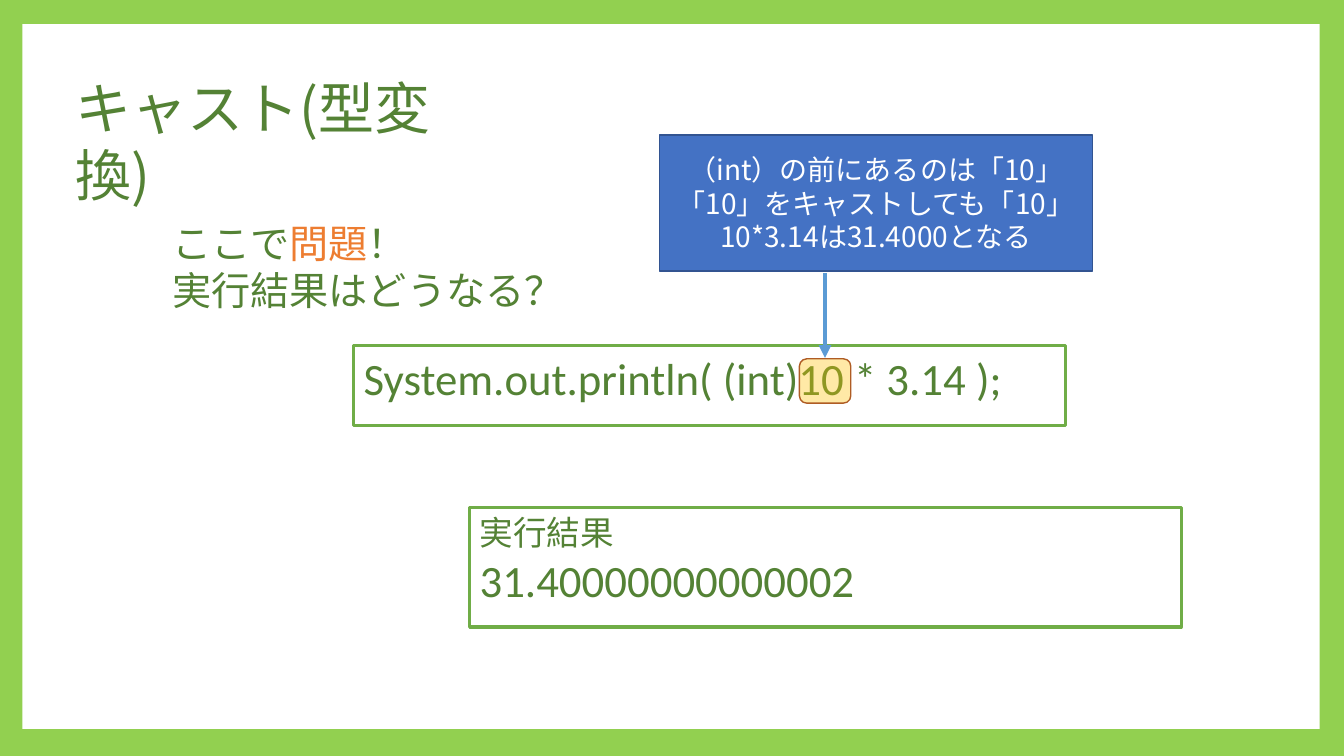
from dataclasses import dataclass

from lxml import etree
from pptx import Presentation
from pptx.dml.color import RGBColor
from pptx.enum import shapes, text
from pptx.oxml import ns
from pptx.util import Pt


@dataclass(frozen=True)
class Theme:
    """Colours, fonts and type sizes of the slide."""
    border: str = "92D050"
    paper: str = "FFFFFF"
    ink: str = "548235"
    accent: str = "ED7D31"
    frame: str = "70AD47"
    note: str = "4472C4"
    note_edge: str = "325491"
    mark: str = "FFC000"
    mark_edge: str = "AF5C24"
    arrow: str = "5B9BD5"
    latin: str = "Calibri"
    japanese: str = "Noto Sans CJK JP"
    title: int = 40
    code: int = 32
    body: int = 28
    label: int = 24
    remark: int = 20


THEME = Theme()
RECTANGLE = shapes.MSO_SHAPE.RECTANGLE


def rgb(value):
    """Return a colour from its hex digits."""
    return RGBColor.from_string(value)


def add_child(parent, tag, **attributes):
    """Append a drawing element to an XML parent."""
    return etree.SubElement(parent, ns.qn(tag), **attributes)


def add_box(slide, box, fill, line=None, width=1, kind=RECTANGLE):
    """Draw a filled shape with an optional outline."""
    shape = slide.shapes.add_shape(kind, *map(Pt, box))
    shape.shadow.inherit = False
    shape.fill.solid()
    shape.fill.fore_color.rgb = rgb(fill)
    if line:
        shape.line.color.rgb = rgb(line)
        shape.line.width = Pt(width)
    else:
        shape.line.fill.background()
    return shape


def write(shape, lines, font, color=THEME.ink, align=text.PP_ALIGN.LEFT,
          anchor=text.MSO_ANCHOR.TOP, leading=None):
    """Fill a shape with lines, each a size and its (words, colour) runs."""
    frame = shape.text_frame
    frame.word_wrap = True
    frame.vertical_anchor = anchor
    for index, (size, runs) in enumerate(lines):
        paragraph = frame.add_paragraph() if index else frame.paragraphs[0]
        paragraph.alignment = align
        if leading:
            paragraph.line_spacing = Pt(size * leading)
        paragraph.font.size = Pt(size)
        paragraph.font.color.rgb = rgb(color)
        paragraph.font.name = font
        add_child(paragraph.font._rPr, "a:ea", typeface=THEME.japanese)
        for words, run_color in runs:
            run = paragraph.add_run()
            run.text = words
            if run_color:
                run.font.color.rgb = rgb(run_color)


def add_backdrop(slide, box):
    """Paint the green border and the white page inside it."""
    slide.background.fill.solid()
    slide.background.fill.fore_color.rgb = rgb(THEME.border)
    add_box(slide, box, THEME.paper)


def add_heading(slide, box, lines):
    """Place unframed Japanese text."""
    shape = slide.shapes.add_textbox(*map(Pt, box))
    shape.text_frame.margin_top = Pt(3.6 + lines[0][0] / 10)
    write(shape, lines, THEME.japanese, leading=1.2)


def add_code_panel(slide, box, lines):
    """Place a green-framed panel of code or output."""
    shape = add_box(slide, box, THEME.paper, THEME.frame, 2.25)
    write(shape, lines, THEME.latin)


def add_explanation(slide, box, lines, mark):
    """Place the note, the marked number and the arrow joining them."""
    left, top, width, height = mark
    marker = add_box(slide, mark, THEME.mark, THEME.mark_edge,
                     kind=shapes.MSO_SHAPE.ROUNDED_RECTANGLE)
    color = marker.fill._xPr.find(ns.qn("a:solidFill"))[0]
    add_child(color, "a:alpha", val="35000")

    note = add_box(slide, box, THEME.note, THEME.note_edge)
    write(note, lines, THEME.japanese, THEME.paper, text.PP_ALIGN.CENTER,
          text.MSO_ANCHOR.MIDDLE, 1.2)

    center = left + width / 2
    arrow = slide.shapes.add_connector(
        shapes.MSO_CONNECTOR.STRAIGHT, Pt(center), Pt(box[1] + box[3] + 1.5),
        Pt(center), Pt(top - 0.7))
    arrow.line.color.rgb = rgb(THEME.arrow)
    arrow.line.width = Pt(3)
    add_child(arrow.line._get_or_add_ln(), "a:tailEnd", type="triangle")
    add_child(arrow._element.spPr, "a:effectLst")


def build_cast_slide(presentation):
    """Build the quiz slide about casting."""
    slide = presentation.slides.add_slide(presentation.slide_layouts[6])
    add_backdrop(slide, (16, 17.3, 926.6, 503.3))
    add_heading(slide, (46.8, 44.6, 304.6, 55.4),
                [(THEME.title, [("キャスト(型変換)", None)])])
    add_heading(slide, (116, 150.5, 273.6, 75), [
        (THEME.body, [("ここで", None), ("問題", THEME.accent), ("！", None)]),
        (THEME.body, [("実行結果はどうなる？", None)])])
    add_code_panel(slide, (252.7, 247, 508.3, 56.9), [
        (THEME.code, [("System.out.println( (int)10 * 3.14 );", None)])])
    add_code_panel(slide, (335.5, 362.2, 508.3, 85.7), [
        (THEME.label, [("実行結果", None)]),
        (THEME.code, [("31.40000000000002", None)])])
    remarks = ("（int）の前にあるのは「10」", "「10」をキャストしても「10」",
               "10*3.14は31.4000となる")
    add_explanation(slide, (470.9, 96.5, 309.6, 97.2),
                    [(THEME.remark, [(remark, None)]) for remark in remarks],
                    (571, 256.3, 36.7, 31.7))


def main():
    """Create and save the presentation."""
    presentation = Presentation()
    presentation.slide_width = Pt(960)
    presentation.slide_height = Pt(540)
    build_cast_slide(presentation)
    presentation.save("out.pptx")


if __name__ == "__main__":
    main()
